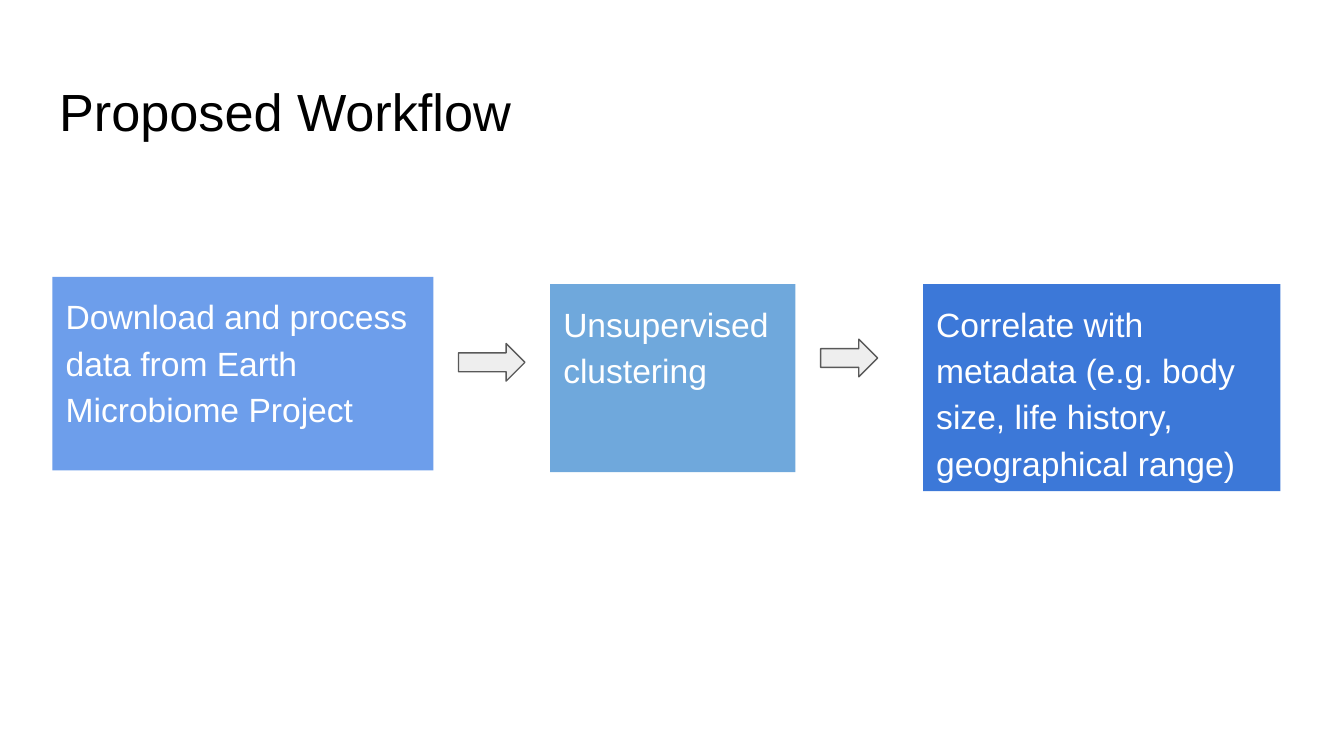
from pptx import Presentation
from pptx.dml.color import RGBColor
from pptx.enum.shapes import MSO_SHAPE
from pptx.enum.text import MSO_ANCHOR, PP_ALIGN
from pptx.util import Inches, Pt

RECT = MSO_SHAPE.RECTANGLE
ARROW = MSO_SHAPE.RIGHT_ARROW
TOP = MSO_ANCHOR.TOP
LEFT = PP_ALIGN.LEFT
CELL = 0.1
FONT = "Arial"

STEPS = [
    ((3.9, 20.6, 28.35, 14.4), "6D9EEB",
     "Download and process data from Earth Microbiome Project"),
    ((40.93, 21.14, 18.25, 14), "6FA8DC", "Unsupervised clustering"),
    ((68.68, 21.14, 26.6, 15.4), "3C78D8",
     "Correlate with metadata (e.g. body size, life history, geographical range)"),
]
LINKS = [(34.12, 25.56, 4.94, 2.8), (61.06, 25.24, 4.24, 2.8)]


def color(code):
    return RGBColor.from_string(code)


def grid(box):
    return [Inches(n * CELL) for n in box]


def write(shape, text, size, code):
    frame = shape.text_frame
    frame.word_wrap = True
    frame.vertical_anchor = TOP
    frame.margin_left = frame.margin_right = Inches(CELL)
    frame.margin_top = frame.margin_bottom = Inches(CELL)
    para = frame.paragraphs[0]
    para.alignment = LEFT
    run = para.add_run()
    run.text = text
    run.font.name = FONT
    run.font.size = Pt(size)
    run.font.color.rgb = color(code)
    return para


def add_title(slide, box):
    title = slide.shapes.title
    title.left, title.top, title.width, title.height = grid(box)
    write(title, "Proposed Workflow", 28, "000000")


def add_block(slide, kind, box, fill):
    shape = slide.shapes.add_shape(kind, *grid(box))
    shape.shadow.inherit = False
    shape.fill.solid()
    shape.fill.fore_color.rgb = color(fill)
    return shape


def add_step(slide, box, fill, text):
    shape = add_block(slide, RECT, box, fill)
    shape.line.fill.background()
    para = write(shape, text, 18, "FFFFFF")
    para.line_spacing = 1.15
    para.space_after = Pt(16)


def add_link(slide, box):
    shape = add_block(slide, ARROW, box, "EEEEEE")
    shape.line.color.rgb = color("595959")
    shape.line.width = Pt(0.75)


def main():
    deck = Presentation()
    deck.slide_width, deck.slide_height = grid((100, 56.25))
    slide = deck.slides.add_slide(deck.slide_layouts.get_by_name("Title Only"))
    add_title(slide, (3.4, 4.87, 93.2, 6.26))
    for step in STEPS:
        add_step(slide, *step)
    for box in LINKS:
        add_link(slide, box)
    deck.save("out.pptx")


if __name__ == "__main__":
    main()
